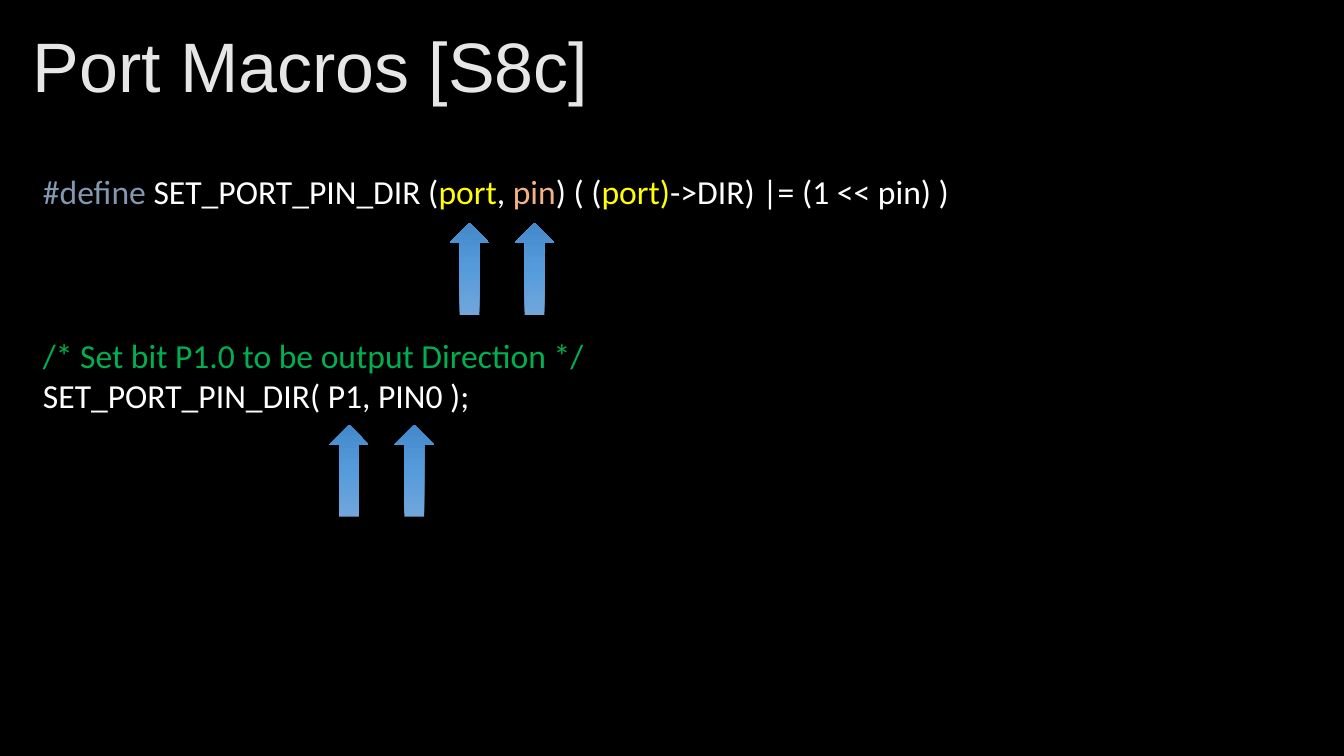
"""Build the Port Macros slide: a macro definition, its call, and arrows at the arguments."""
from copy import deepcopy

from pptx import Presentation
from pptx.dml.color import RGBColor
from pptx.enum.shapes import MSO_SHAPE
from pptx.enum.text import MSO_ANCHOR, PP_ALIGN
from pptx.oxml.ns import qn
from pptx.util import Pt

DOWN_ARROW = MSO_SHAPE.DOWN_ARROW
MIDDLE = MSO_ANCHOR.MIDDLE
LEFT = PP_ALIGN.LEFT

WHITE = "FFFFFF"
YELLOW = "FFFF00"
ARROW_STOPS = [(0, "71A6DB"), (0.5, "559BDB"), (1, "448ACA")]
ARROW_WIDTH, ARROW_HEIGHT = 28.2, 65.7


def rgb(value):
    return RGBColor.from_string(value)


def add_run(paragraph, text, color=WHITE, size=24, font="Calibri"):
    run = paragraph.add_run()
    run.text = text
    run.font.name = font
    run.font.size = Pt(size)
    run.font.color.rgb = rgb(color)


prs = Presentation()
prs.slide_width, prs.slide_height = Pt(960), Pt(540)
slide = prs.slides.add_slide(prs.slide_layouts[5])
slide.background.fill.solid()
slide.background.fill.fore_color.rgb = rgb("000000")

title = slide.shapes.title
title.left, title.top, title.width, title.height = Pt(16), Pt(15), Pt(928), Pt(70)
title.text_frame.vertical_anchor = MIDDLE
heading = title.text_frame.paragraphs[0]
heading.alignment = LEFT
heading.line_spacing = 0.9
add_run(heading, "Port Macros [S8c]", color="E7E6E6", size=50, font="Arial")

code = slide.shapes.add_textbox(Pt(23.6), Pt(118.8), Pt(670), Pt(181.5)).text_frame
code.word_wrap = True
definition = code.paragraphs[0]
for text, color in [
    ("#define", "8497B0"),
    (" SET_PORT_PIN_DIR (", WHITE),
    ("port", YELLOW),
    (", ", WHITE),
    ("pin", "F4B183"),
    (") ( (", WHITE),
    ("port)", YELLOW),
    ("->DIR) |= (1 << pin) )", WHITE),
]:
    add_run(definition, text, color=color)

comment = code.add_paragraph()
comment.space_before = Pt(88)
add_run(comment, "/* Set bit P1.0 to be output Direction */", color="00B050")
add_run(code.add_paragraph(), "SET_PORT_PIN_DIR( P1, PIN0 );")

for left, top in [(321.2, 159.2), (367.7, 159.2), (235.2, 303.4), (281.7, 303.4)]:
    arrow = slide.shapes.add_shape(
        DOWN_ARROW, Pt(left), Pt(top), Pt(ARROW_WIDTH), Pt(ARROW_HEIGHT))
    arrow.rotation = 180
    arrow.shadow.inherit = False
    arrow.line.fill.background()
    arrow.fill.gradient()
    arrow.fill.gradient_angle = 270
    stop_list = arrow.fill._xPr.find(qn("a:gradFill")).find(qn("a:gsLst"))
    stop_list.append(deepcopy(stop_list[0]))
    for stop, (position, color) in zip(arrow.fill.gradient_stops, ARROW_STOPS):
        stop.position = position
        stop.color.rgb = rgb(color)

prs.save("out.pptx")
